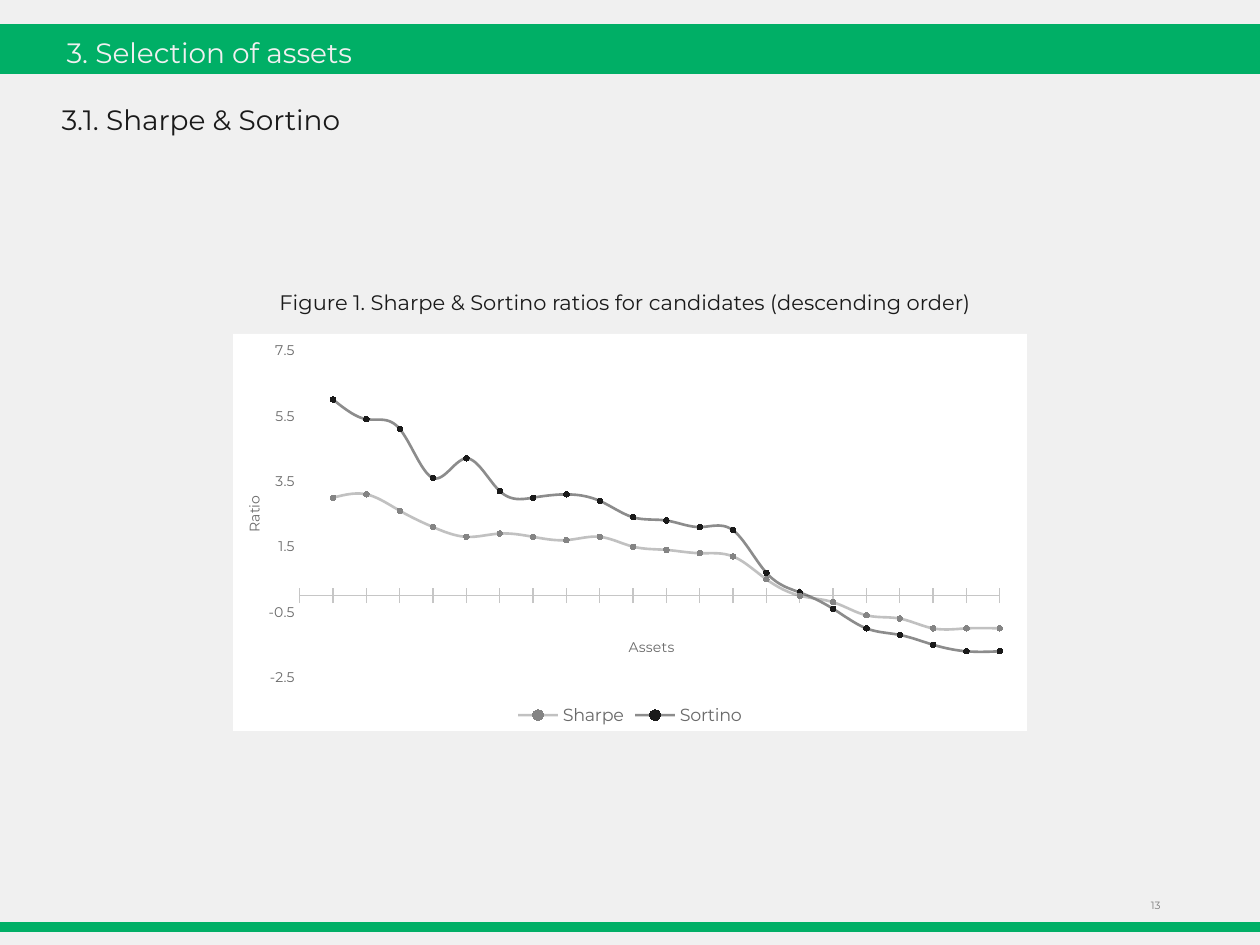
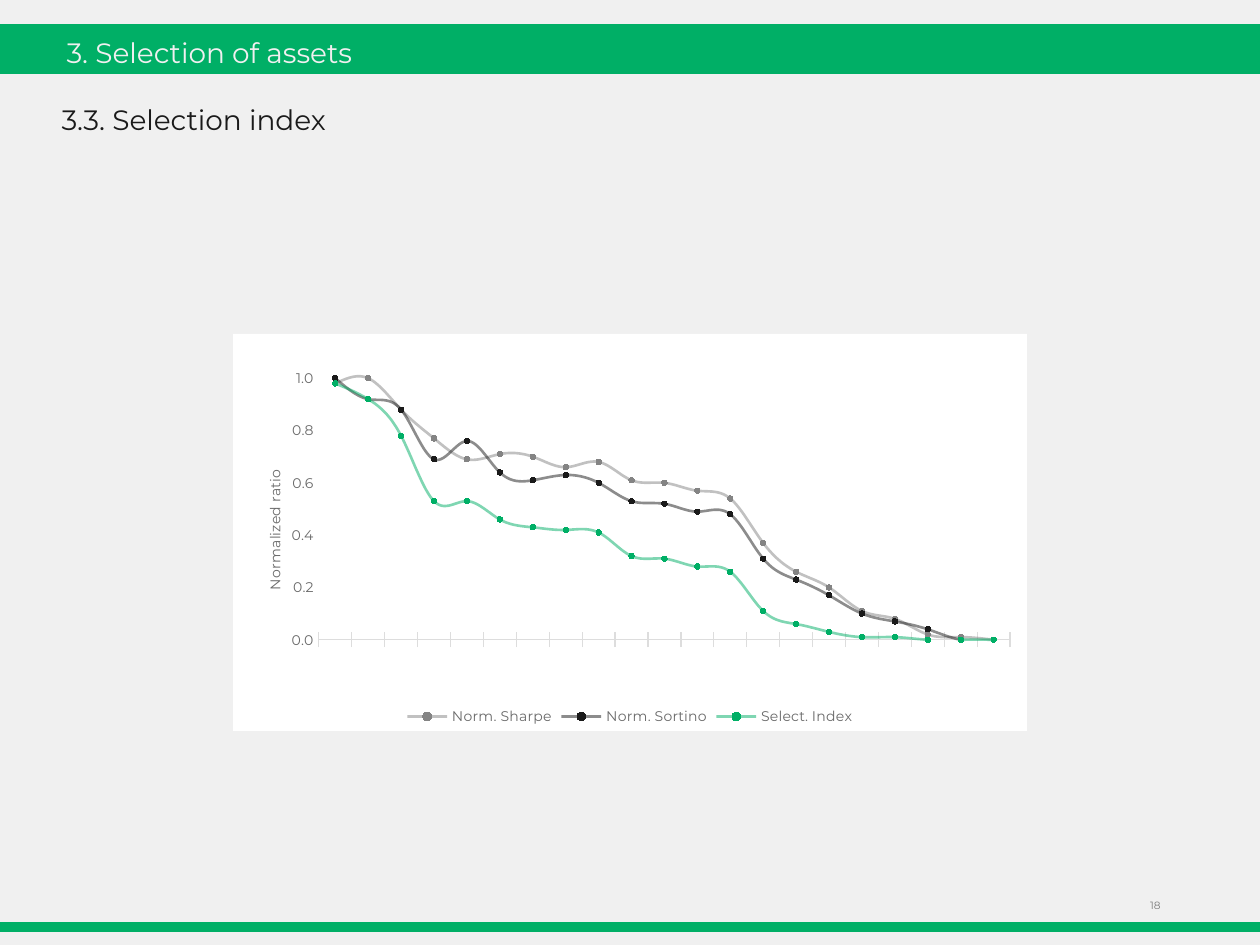
import lxml.etree
import pptx
import pptx.chart.data
import pptx.dml.color
import pptx.enum.chart
import pptx.enum.shapes
import pptx.enum.text
import pptx.oxml.ns
import pptx.util

RGBColor = pptx.dml.color.RGBColor
Inches = pptx.util.Inches
Pt = pptx.util.Pt
ChartType = pptx.enum.chart.XL_CHART_TYPE
TickMark = pptx.enum.chart.XL_TICK_MARK
Anchor = pptx.enum.text.MSO_ANCHOR
Align = pptx.enum.text.PP_ALIGN
qn = pptx.oxml.ns.qn

GREEN = RGBColor(0x00, 0xAF, 0x66)
PAPER = RGBColor(0xF0, 0xF0, 0xF0)
WHITE = RGBColor(0xFF, 0xFF, 0xFF)
INK = RGBColor(0x1A, 0x1A, 0x1A)
LABEL_GRAY = RGBColor(0x6A, 0x6A, 0x6A)
NUMBER_GRAY = RGBColor(0x7A, 0x7A, 0x7A)
SERIES_GRAY = RGBColor(0x84, 0x84, 0x84)
AXIS_GRAY = RGBColor(0xC6, 0xC6, 0xC6)
AXIS_PALE = RGBColor(0xDD, 0xDD, 0xDD)

FONT = "Montserrat"
WIDTH, HEIGHT = 10, 7.5
SECTION = "3. Selection of assets"
BANDS = [(0.2, 0.38), (7.33, 0.06)]
CHART_WIDTH, CHART_HEIGHT = 0.63 * WIDTH, 0.42 * HEIGHT
CHART_TOP = 2.65
ASSET_COUNT = 21

SLIDES = [
    {
        "heading": "3.1. Sharpe & Sortino",
        "number": "13",
        "caption": "Figure 1. Sharpe & Sortino ratios for candidates (descending order)",
        "type": ChartType.XY_SCATTER_SMOOTH,
        "plot": (0.084, 0.042, 0.882, 0.824),
        "asset_title": ("Assets", 0.495, 0.757),
        "ratio_title": ("Ratio", 0.01, 0.4),
        "ratio_scale": (-2.5, 7.5, 2),
        "asset_scale": (0, ASSET_COUNT, 1),
        "axis_color": AXIS_GRAY,
        "legend_size": 10,
        "series": [
            ("Sharpe", SERIES_GRAY,
             [3, 3.1, 2.6, 2.1, 1.8, 1.9, 1.8, 1.7, 1.8, 1.5, 1.4, 1.3, 1.2, 0.5,
              0, -0.2, -0.6, -0.7, -1, -1, -1]),
            ("Sortino", INK,
             [6, 5.4, 5.1, 3.6, 4.2, 3.2, 3, 3.1, 2.9, 2.4, 2.3, 2.1, 2, 0.7,
              0.1, -0.4, -1, -1.2, -1.5, -1.7, -1.7]),
        ],
    },
    {
        "heading": "3.3. Selection index",
        "number": "18",
        "caption": None,
        "type": ChartType.LINE_MARKERS,
        "plot": (0.108, 0.046, 0.871, 0.725),
        "asset_title": None,
        "ratio_title": ("Normalized ratio", 0.036, 0.335),
        "ratio_scale": (0, 1.1, 0.2),
        "asset_scale": None,
        "axis_color": AXIS_PALE,
        "legend_size": 8,
        "series": [
            ("Norm. Sharpe", SERIES_GRAY,
             [0.98, 1, 0.88, 0.77, 0.69, 0.71, 0.7, 0.66, 0.68, 0.61, 0.6, 0.57,
              0.54, 0.37, 0.26, 0.2, 0.11, 0.08, 0.02, 0.01, 0]),
            ("Norm. Sortino", INK,
             [1, 0.92, 0.88, 0.69, 0.76, 0.64, 0.61, 0.63, 0.6, 0.53, 0.52, 0.49,
              0.48, 0.31, 0.23, 0.17, 0.1, 0.07, 0.04, 0, 0]),
            ("Select. Index", GREEN,
             [0.98, 0.92, 0.78, 0.53, 0.53, 0.46, 0.43, 0.42, 0.41, 0.32, 0.31,
              0.28, 0.26, 0.11, 0.06, 0.03, 0.01, 0.01, 0, 0, 0]),
        ],
    },
]


def style_font(font, size, color):
    font.name = FONT
    font.size = Pt(size)
    font.bold = False
    font.color.rgb = color


def add_text(page, text, place, size, color, anchor=Anchor.MIDDLE, align=Align.LEFT, wrap=True):
    box = page.shapes.add_textbox(*map(Inches, place))
    frame = box.text_frame
    frame.text = text
    frame.word_wrap = wrap
    frame.vertical_anchor = anchor
    para = frame.paragraphs[0]
    para.alignment = align
    style_font(para.runs[0].font, size, color)


def add_bands(page):
    for top, height in BANDS:
        band = page.shapes.add_shape(
            pptx.enum.shapes.MSO_SHAPE.RECTANGLE,
            0, Inches(top), Inches(WIDTH), Inches(height))
        band.shadow.inherit = False
        band.fill.solid()
        band.fill.fore_color.rgb = GREEN
        band.line.color.rgb = GREEN
        band.line.width = Pt(1.5)


def add_xml(parent, tag, **attributes):
    return lxml.etree.SubElement(parent, qn(tag), **attributes)


def set_layout(element, left, top, size=None):
    layout = element.find(qn("c:layout"))
    if layout is None:
        layout = add_xml(element, "c:layout")
        element.insert(0, layout)
    manual = add_xml(layout, "c:manualLayout")
    if size:
        add_xml(manual, "c:layoutTarget", val="inner")
    settings = {"xMode": "edge", "yMode": "edge", "x": left, "y": top}
    if size:
        settings.update(w=size[0], h=size[1])
    for name, value in settings.items():
        add_xml(manual, "c:" + name, val=str(value))


def fill_chart(chart, color):
    properties = lxml.etree.Element(qn("c:spPr"))
    fill = add_xml(properties, "a:solidFill")
    add_xml(fill, "a:srgbClr", val=str(color))
    add_xml(add_xml(properties, "a:ln"), "a:noFill")
    chart._chartSpace.find(qn("c:chart")).addnext(properties)


def style_axis(axis, title, scale):
    axis.has_major_gridlines = False
    axis.has_minor_gridlines = False
    axis.minor_tick_mark = TickMark.NONE
    style_font(axis.tick_labels.font, 8, LABEL_GRAY)
    if scale:
        axis.minimum_scale, axis.maximum_scale, axis.major_unit = scale
    axis.has_title = title is not None
    if title:
        text, left, top = title
        frame = axis.axis_title.text_frame
        frame.text = text
        style_font(frame.paragraphs[0].runs[0].font, 8, LABEL_GRAY)
        set_layout(axis.axis_title._element, left, top)


def style_series(series, color):
    line = series.format.line
    line.color.rgb = color
    line.width = Pt(1.5)
    for shade in line._ln.iter(qn("a:srgbClr")):
        add_xml(shade, "a:alpha", val="50000")
    marker = series.marker
    marker.style = pptx.enum.chart.XL_MARKER_STYLE.CIRCLE
    marker.size = 3
    marker.format.fill.solid()
    marker.format.fill.fore_color.rgb = color
    marker.format.line.color.rgb = color
    series._element.find(qn("c:smooth")).set("val", "1")


def chart_data(slide):
    assets = range(1, ASSET_COUNT + 1)
    if slide["type"] == ChartType.XY_SCATTER_SMOOTH:
        data = pptx.chart.data.XyChartData()
        for name, color, values in slide["series"]:
            points = data.add_series(name)
            for asset, value in zip(assets, values):
                points.add_data_point(asset, value)
    else:
        data = pptx.chart.data.CategoryChartData()
        data.categories = [str(asset) for asset in assets]
        for name, color, values in slide["series"]:
            data.add_series(name, values)
    return data


def add_ratio_chart(page, slide):
    place = ((WIDTH - CHART_WIDTH) / 2, CHART_TOP, CHART_WIDTH, CHART_HEIGHT)
    chart = page.shapes.add_chart(slide["type"], *map(Inches, place), chart_data(slide)).chart
    chart.has_title = False
    style_font(chart.font, 8, INK)
    fill_chart(chart, WHITE)
    chart.plots[0].vary_by_categories = False
    left, top, *size = slide["plot"]
    set_layout(chart._chartSpace.find(".//" + qn("c:plotArea")), left, top, size)

    assets, ratios = chart.category_axis, chart.value_axis
    style_axis(assets, slide["asset_title"], slide["asset_scale"])
    assets.major_tick_mark = TickMark.CROSS
    assets.tick_label_position = pptx.enum.chart.XL_TICK_LABEL_POSITION.NONE
    assets.format.line.color.rgb = slide["axis_color"]
    assets.format.line.width = Pt(0.75)
    style_axis(ratios, slide["ratio_title"], slide["ratio_scale"])
    ratios.major_tick_mark = TickMark.NONE
    ratios.format.line.fill.background()
    ratios.tick_labels.number_format = "0.0"
    ratios.tick_labels.number_format_is_linked = False

    chart.has_legend = True
    chart.legend.position = pptx.enum.chart.XL_LEGEND_POSITION.BOTTOM
    chart.legend.include_in_layout = False
    style_font(chart.legend.font, slide["legend_size"], LABEL_GRAY)
    for series, (name, color, values) in zip(chart.plots[0].series, slide["series"]):
        style_series(series, color)


def add_page(deck, slide):
    page = deck.slides.add_slide(deck.slide_layouts[6])
    page.background.fill.solid()
    page.background.fill.fore_color.rgb = PAPER
    add_bands(page)
    add_text(page, SECTION, (0.43, 0.23, 4.57, 0.37), 16, PAPER)
    add_text(page, slide["heading"], (0.39, 0.76, 4.57, 0.37), 16, INK)
    add_text(page, slide["number"], (7.06, 7.07, 2.25, 0.23), 6, NUMBER_GRAY, align=Align.RIGHT)
    add_ratio_chart(page, slide)
    if slide["caption"]:
        add_text(page, slide["caption"], (2.12, 2.25, 5.76, 0.3), 12, INK,
                 anchor=Anchor.TOP, wrap=False)


def main():
    deck = pptx.Presentation()
    deck.slide_width = Inches(WIDTH)
    deck.slide_height = Inches(HEIGHT)
    for slide in SLIDES:
        add_page(deck, slide)
    deck.save("out.pptx")


if __name__ == "__main__":
    main()
